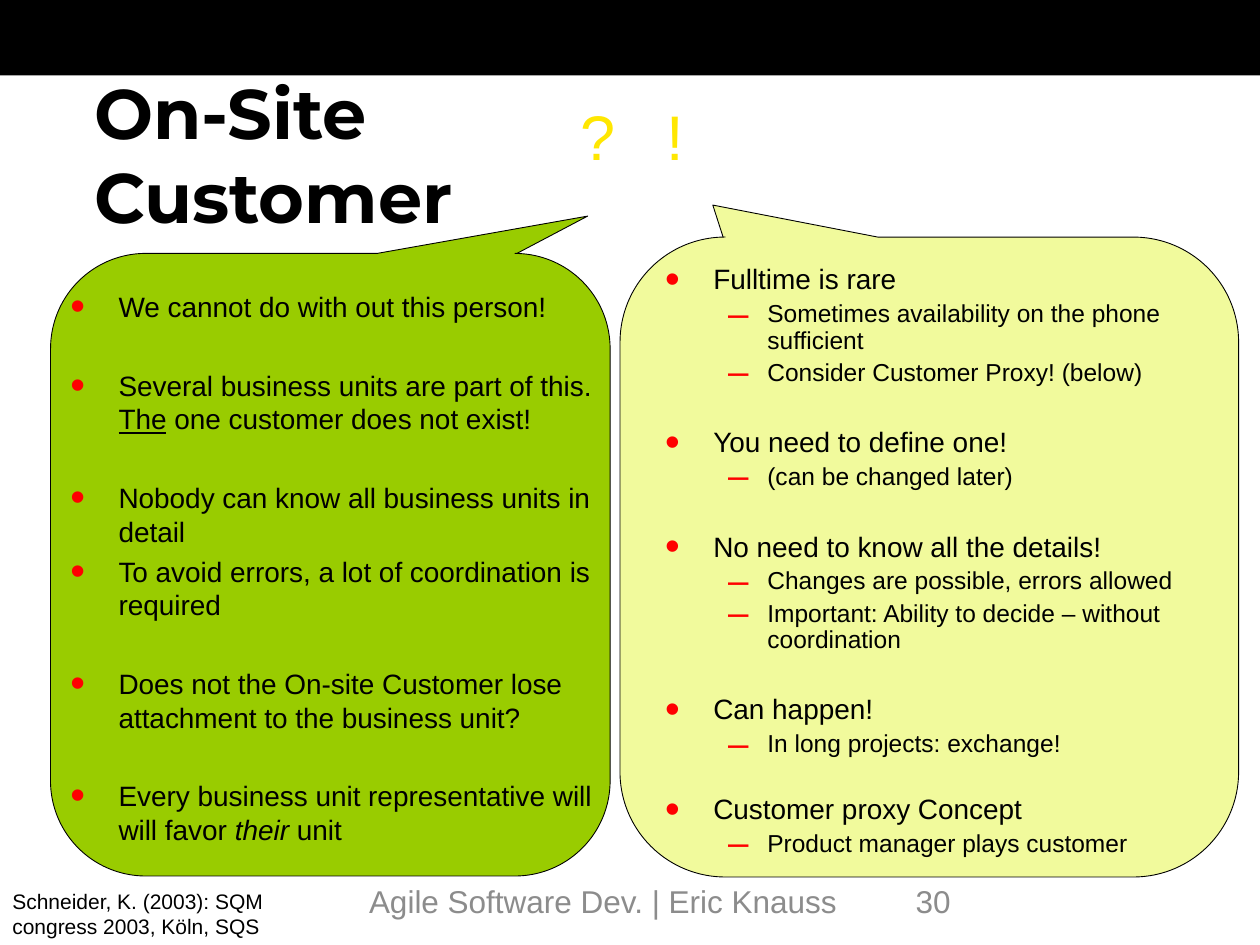
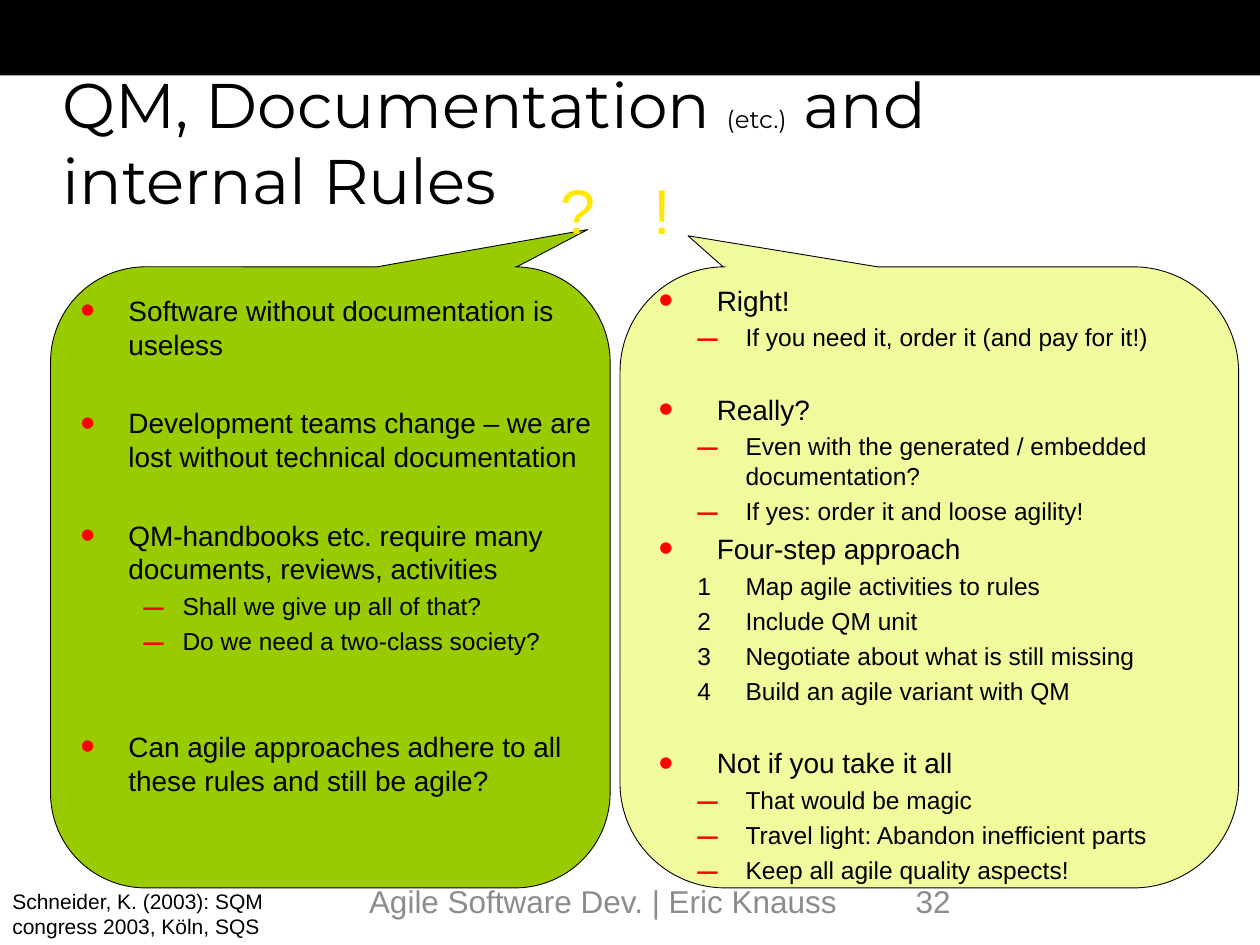
from dataclasses import dataclass
from typing import NamedTuple

from lxml import etree
from pptx import Presentation
from pptx.dml.color import RGBColor
from pptx.enum.shapes import MSO_SHAPE
from pptx.enum.text import MSO_ANCHOR
from pptx.oxml.ns import qn
from pptx.util import Cm, Pt

RECT = MSO_SHAPE.RECTANGLE
CALLOUT = MSO_SHAPE.ROUNDED_RECTANGULAR_CALLOUT
TOP, MIDDLE = MSO_ANCHOR.TOP, MSO_ANCHOR.MIDDLE

# Shared look
BLACK, GREY, RED = "000000", "8C8C8C", "FF0000"
GREEN, LIME = "99CC00", "F1FA9C"
YELLOW, ORANGE = "FFE701", "FE3E02"
BODY_FONT, TITLE_FONT = "Arial", "Montserrat"
ITEM_SIZES = (16, 14)
BULLETS = ("•", "–")
LINE_HEIGHT, BEFORE = 1.15, 0.23  # shares of the font size


class Box(NamedTuple):
    left: float
    top: float
    width: float
    height: float


class Run(NamedTuple):
    text: str
    size: float = 0
    bold: bool = False
    italic: bool = False
    underline: bool = False


class Indent(NamedTuple):
    left: float
    hanging: float


class Item(NamedTuple):
    level: int
    runs: tuple[Run, ...]
    skipped: tuple[int, ...] = ()  # font sizes of the lines left free above
    bullet: bool = True


@dataclass
class Bubble:
    callout: Box
    tip: tuple[float, float]
    fill: str
    text: Box
    items: list[Item]
    indents: tuple[Indent, Indent] = (Indent(0.97, 0.97), Indent(2.06, 0.79))
    spacing: float = 1.0


@dataclass
class DebateSlide:
    title: list[list[Run]]
    title_box: Box
    question_box: Box
    exclamation_box: Box
    objection: Bubble
    answer: Bubble
    number: str


def main_item(*parts: str | Run, skipped: tuple[int, ...] = ()) -> Item:
    return Item(0, tuple(t if isinstance(t, Run) else Run(t) for t in parts), skipped)


def sub(text: str) -> Item:
    return Item(1, (Run(text),))


def step(number: int, text: str) -> Item:
    return Item(1, (Run(f"{number}\t{text}"),), bullet=False)


def rgb(color: str) -> RGBColor:
    return RGBColor.from_string(color)


def lengths(box: Box) -> list[Cm]:
    return [Cm(v) for v in box]


def add_run(p, run: Run, size: float, color: str = BLACK, font: str = BODY_FONT):
    r = p.add_run()
    r.text = run.text
    f = r.font
    f.name, f.size = font, Pt(run.size or size)
    f.bold, f.italic, f.underline = run.bold, run.italic, run.underline
    f.color.rgb = rgb(color)
    return r


def add_frame(s, box: Box, anchor=TOP, tight: bool = False, wrap: bool = True):
    tf = s.shapes.add_textbox(*lengths(box)).text_frame
    tf.word_wrap, tf.vertical_anchor = wrap, anchor
    if tight:
        tf.margin_left = tf.margin_right = Cm(0.2)
        tf.margin_top = tf.margin_bottom = Cm(0.1)
    return tf


def add_label(s, box: Box, text: str, size: float, color: str, anchor=TOP) -> None:
    add_run(add_frame(s, box, anchor).paragraphs[0], Run(text), size, color)


def add_filled(s, shape, box: Box, fill: str):
    sp = s.shapes.add_shape(shape, *lengths(box))
    sp.shadow.inherit = False
    sp.fill.solid()
    sp.fill.fore_color.rgb = rgb(fill)
    return sp


def set_indent(p, indent: Indent, bullet: str = "") -> None:
    pPr = p._p.get_or_add_pPr()
    pPr.set("marL", str(Cm(indent.left)))
    pPr.set("indent", str(-Cm(indent.hanging)))
    if not bullet:
        etree.SubElement(pPr, qn("a:buNone"))
        return
    color = etree.SubElement(pPr, qn("a:buClr"))
    etree.SubElement(color, qn("a:srgbClr"), val=RED)
    etree.SubElement(pPr, qn("a:buSzPct"), val="150000")
    etree.SubElement(pPr, qn("a:buFont"), typeface=BODY_FONT)
    etree.SubElement(pPr, qn("a:buChar"), char=bullet)


def add_callout(s, bubble: Bubble) -> None:
    sp = add_filled(s, CALLOUT, bubble.callout, bubble.fill)
    for i, value in enumerate((*bubble.tip, 0.17)):
        sp.adjustments[i] = value
    sp.line.color.rgb = rgb(BLACK)
    sp.line.width = Pt(0.5)


def add_items(s, bubble: Bubble) -> None:
    tf = add_frame(s, bubble.text, tight=True)
    for i, item in enumerate(bubble.items):
        p = tf.add_paragraph() if i else tf.paragraphs[0]
        size = ITEM_SIZES[item.level]
        p.level = item.level
        set_indent(p, bubble.indents[item.level], BULLETS[item.level] if item.bullet else "")
        p.line_spacing = bubble.spacing
        free = sum(item.skipped) * (LINE_HEIGHT * bubble.spacing + BEFORE)
        p.space_before = Pt(size * BEFORE + free if i else 0)
        for run in item.runs:
            add_run(p, run, size)


def add_mark(s, box: Box, mark: str) -> None:
    p = add_frame(s, box, MIDDLE, wrap=False).paragraphs[0]
    fill = add_run(p, Run(mark), 36).font.fill
    fill.gradient()
    fill.gradient_angle = 270
    for stop, color in zip(fill.gradient_stops, (YELLOW, ORANGE)):
        stop.color.rgb = rgb(color)


def add_title(s, box: Box, lines: list[list[Run]]) -> None:
    p = add_frame(s, box, tight=True).paragraphs[0]
    for i, line in enumerate(lines):
        if i:
            p.add_line_break()
        for run in line:
            add_run(p, run, 36, font=TITLE_FONT)


def add_debate(prs, page: DebateSlide) -> None:
    s = prs.slides.add_slide(prs.slide_layouts[6])
    # Top band
    add_filled(s, RECT, Box(0, 0, 25.4, 1.52), BLACK).line.fill.background()
    # Callouts, title and their texts
    for bubble in (page.answer, page.objection):
        add_callout(s, bubble)
    add_title(s, page.title_box, page.title)
    for bubble in (page.objection, page.answer):
        add_items(s, bubble)
    add_mark(s, page.question_box, "?")
    add_mark(s, page.exclamation_box, "!")
    # Footer
    add_label(s, Box(0, 17.78, 6.88, 1.27),
              "Schneider, K. (2003): SQM congress 2003, Köln, SQS", 12, BLACK)
    add_label(s, Box(7.19, 17.65, 11, 1.02),
              "Agile Software Dev. | Eric Knauss", 18, GREY, MIDDLE)
    add_label(s, Box(18.21, 17.65, 5.92, 1.02), page.number, 18, GREY, MIDDLE)


CUSTOMER = DebateSlide(
    title=[[Run("On-Site", 40, bold=True)], [Run("Customer", 40, bold=True)]],
    title_box=Box(1.7, 1.3, 23.7, 2.11),
    question_box=Box(11.46, 1.7, 1.3, 2.06),
    exclamation_box=Box(13.18, 1.7, 0.69, 2.06),
    objection=Bubble(
        Box(1.02, 5.11, 11.28, 12.55), (0.46, -0.56), GREEN,
        Box(1.22, 5.74, 11, 11.86),
        [
            main_item("We cannot do with out this person!"),
            main_item("Several business units are part of this. ", Run("The", underline=True),
                      " one customer does not exist!", skipped=(16,)),
            main_item("Nobody can know all business units in detail", skipped=(16,)),
            main_item("To avoid errors, a lot of coordination is required"),
            main_item("Does not the On-site Customer lose attachment to the business unit?",
                      skipped=(16,)),
            main_item("Every business unit representative will will favor ",
                      Run("their", italic=True), " unit", skipped=(16,)),
        ]),
    answer=Bubble(
        Box(12.5, 4.78, 12.47, 12.9), (-0.35, -0.55), LIME,
        Box(13.21, 5.26, 11.94, 12.83),
        [
            main_item("Fulltime is rare"),
            sub("Sometimes availability on the phone sufficient"),
            sub("Consider Customer Proxy! (below)"),
            main_item("You need to define one!", skipped=(16,)),
            sub("(can be changed later)"),
            main_item("No need to know all the details!", skipped=(16,)),
            sub("Changes are possible, errors allowed"),
            sub("Important: Ability to decide – without coordination"),
            main_item("Can happen!", skipped=(16,)),
            sub("In long projects: exchange!"),
            main_item("Customer proxy Concept", skipped=(14,)),
            sub("Product manager plays customer"),
        ],
        spacing=0.9),
    number="30")

RULES = DebateSlide(
    title=[[Run("QM, Documentation "), Run("(etc.)", 14), Run(" and internal Rules")]],
    title_box=Box(1.07, 1.22, 21.59, 2.11),
    question_box=Box(11.05, 3.25, 1.32, 1.96),
    exclamation_box=Box(12.93, 3.25, 0.69, 1.96),
    objection=Bubble(
        Box(1.02, 5.38, 11.28, 12.52), (0.46, -0.56), GREEN,
        Box(1.42, 5.82, 11.13, 12.34),
        [
            main_item("Software without documentation is useless"),
            main_item("Development teams change – we are lost without technical documentation",
                      skipped=(16,)),
            main_item("QM-handbooks etc. require many documents, reviews, activities",
                      skipped=(16,)),
            sub("Shall we give up all of that?"),
            sub("Do we need a two-class society?"),
            main_item("Can agile approaches adhere to all these rules and still be agile?",
                      skipped=(14, 14)),
        ]),
    answer=Bubble(
        Box(12.5, 5.38, 12.47, 12.52), (-0.39, -0.55), LIME,
        Box(13.08, 5.61, 12.14, 11.71),
        [
            main_item("Right!"),
            sub("If you need it, order it (and pay for it!)"),
            main_item("Really?", skipped=(14,)),
            sub("Even with the generated / embedded documentation?"),
            sub("If yes: order it and loose agility!"),
            main_item("Four-step approach"),
            step(1, "Map agile activities to rules"),
            step(2, "Include QM unit"),
            step(3, "Negotiate about what is still missing"),
            step(4, "Build an agile variant with QM"),
            main_item("Not if you take it all", skipped=(14,)),
            sub("That would be magic"),
            sub("Travel light: Abandon inefficient parts"),
            sub("Keep all agile quality aspects!"),
        ],
        indents=(Indent(1.17, 1.17), Indent(1.75, 0.97))),
    number="32")


def main() -> None:
    prs = Presentation()
    prs.slide_width, prs.slide_height = Cm(25.4), Cm(19.05)
    for page in (CUSTOMER, RULES):
        add_debate(prs, page)
    prs.save("out.pptx")


if __name__ == "__main__":
    main()
